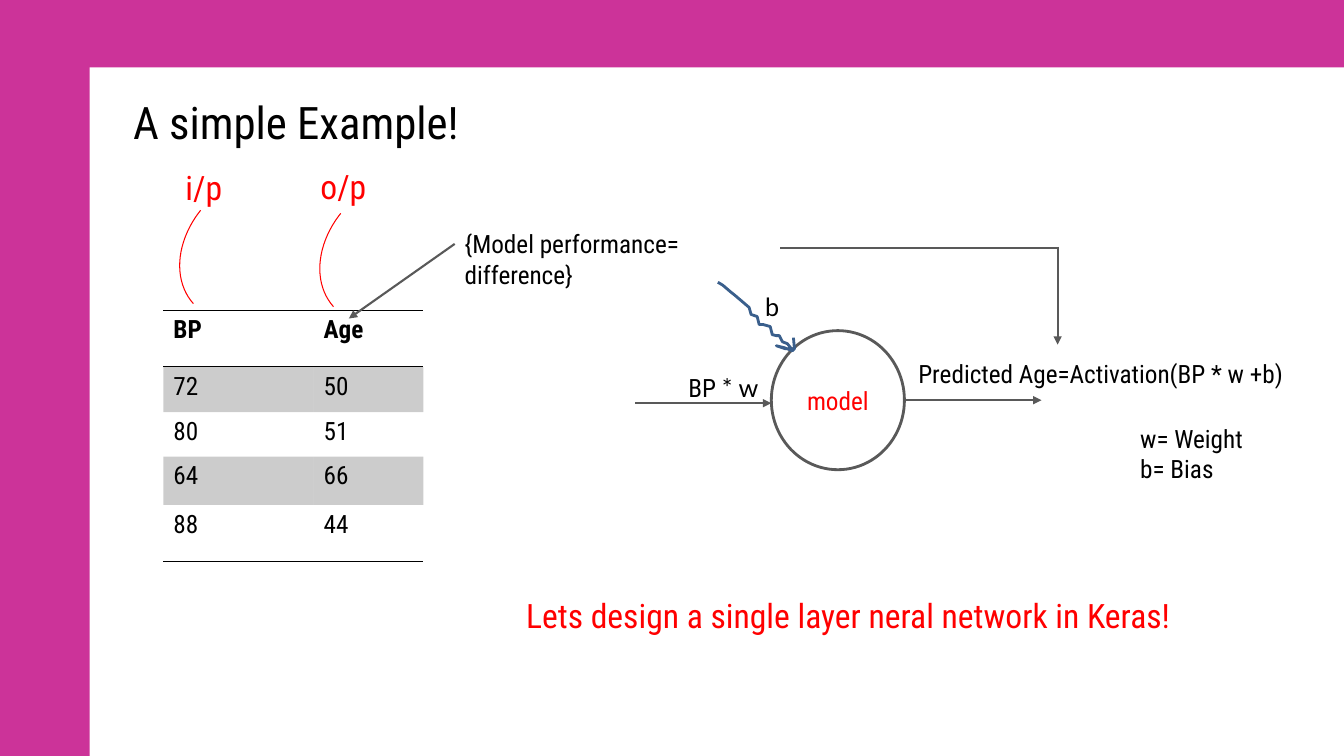
from dataclasses import dataclass
from pptx import Presentation
from pptx.dml.color import RGBColor
from pptx.enum.shapes import MSO_CONNECTOR, MSO_SHAPE
from pptx.enum.text import MSO_ANCHOR, MSO_AUTO_SIZE, PP_ALIGN
from pptx.oxml.ns import qn
from pptx.util import Inches, Pt
from lxml.etree import SubElement


@dataclass(frozen=True)
class Theme:
    font: str = "Roboto Condensed"
    alt: str = "Lato"
    pink: str = "CC3399"
    red: str = "FF0000"
    black: str = "000000"
    white: str = "FFFFFF"
    gray: str = "595959"
    blue: str = "3A5F8C"
    head: int = 32
    large: int = 24
    body: int = 18


THEME = Theme()


def rgb(code):
    return RGBColor.from_string(code)


def add_run(para, text, size=THEME.body, color=THEME.black, font=THEME.font, bold=False):
    run = para.add_run()
    run.text = text
    run.font.size = Pt(size)
    run.font.name = font
    run.font.bold = bold
    run.font.color.rgb = rgb(color)


def add_text(slide, box, lines, **style):
    """Each line is a list of (text, font) runs."""
    frame = slide.shapes.add_textbox(*map(Inches, box)).text_frame
    frame.word_wrap = True
    frame.auto_size = MSO_AUTO_SIZE.SHAPE_TO_FIT_TEXT
    for i, runs in enumerate(lines):
        para = frame.add_paragraph() if i else frame.paragraphs[0]
        for text, font in runs:
            add_run(para, text, font=font, **style)


def add_title(slide, box, text):
    title = slide.shapes.title
    title.left, title.top, title.width, title.height = map(Inches, box)
    frame = title.text_frame
    frame.vertical_anchor = MSO_ANCHOR.TOP
    frame.paragraphs[0].alignment = PP_ALIGN.LEFT
    add_run(frame.paragraphs[0], text, THEME.head)


def add_form(slide, kind, box, fill=None, line=None, width=1):
    form = slide.shapes.add_shape(kind, *map(Inches, box))
    paint(form, fill, line, width)
    return form


def paint(form, fill, line, width):
    form.shadow.inherit = False
    if fill:
        form.fill.solid()
        form.fill.fore_color.rgb = rgb(fill)
    else:
        form.fill.background()
    if line:
        form.line.color.rgb = rgb(line)
        form.line.width = Pt(width)
    else:
        form.line.fill.background()


def add_arc(slide, box):
    arc = add_form(slide, MSO_SHAPE.ARC, box, line=THEME.red, width=0.75)
    arc.adjustments[0], arc.adjustments[1] = 162, 206.11
    arc.rotation = 228.3


def add_line(slide, start, end, arrow=True):
    link = slide.shapes.add_connector(MSO_CONNECTOR.STRAIGHT, *map(Inches, start + end))
    link.line.color.rgb = rgb(THEME.gray)
    link.line.width = Pt(1.5)
    if arrow:
        SubElement(link.line._get_or_add_ln(), qn("a:tailEnd"), type="triangle")
    SubElement(link._element.spPr, qn("a:effectLst"))


def add_path(slide, points):
    start, *rest = [(Inches(x), Inches(y)) for x, y in points]
    pen = slide.shapes.build_freeform(*start)
    pen.add_line_segments(rest, close=False)
    paint(pen.convert_to_shape(), None, THEME.blue, 2)


def set_edges(cell, drawn):
    props = cell._tc.get_or_add_tcPr()
    for side in "LRTB":
        edge = SubElement(props, qn(f"a:ln{side}"), w=str(Pt(1)))
        if side in drawn:
            ink = SubElement(edge, qn("a:solidFill"))
            SubElement(ink, qn("a:srgbClr"), val=THEME.black)
        else:
            SubElement(edge, qn("a:noFill"))


def set_fill(cell, shaded):
    if not shaded:
        cell.fill.background()
        return
    cell.fill.solid()
    cell.fill.fore_color.rgb = rgb(THEME.black)
    # The fill is a direct child; edge colours lie deeper
    color = cell._tc.tcPr.find(qn("a:solidFill")).find(qn("a:srgbClr"))
    SubElement(color, qn("a:alpha"), val="20000")


def add_grid(slide, box, rows, widths, heights):
    grid = slide.shapes.add_table(len(rows), len(widths), *map(Inches, box)).table
    grid.first_row = grid.horz_banding = False
    for col, width in zip(grid.columns, widths):
        col.width = Inches(width)
    last = len(rows) - 1
    for r, (row, height) in enumerate(zip(rows, heights)):
        grid.rows[r].height = Inches(height)
        # Rules frame the header and close the table
        drawn = {0: "TB", 1: "T", last: "B"}.get(r, "")
        for c, text in enumerate(row):
            cell = grid.cell(r, c)
            add_run(cell.text_frame.paragraphs[0], text, bold=r == 0)
            set_edges(cell, drawn)
            set_fill(cell, r % 2 == 1)


def main():
    deck = Presentation()
    deck.slide_width, deck.slide_height = Inches(13.33), Inches(7.5)
    slide = deck.slides.add_slide(deck.slide_layouts[5])
    font, alt = THEME.font, THEME.alt

    # Frame and title
    for box in [(0, 0, 0.89, 7.5), (0, 0, 13.33, 0.67)]:
        add_form(slide, MSO_SHAPE.RECTANGLE, box, THEME.pink)
    add_title(slide, (1.22, 0.89, 8.21, 0.64), "A simple Example!")

    # Data table with its input and output marks
    rows = [("BP", "Age"), ("72", "50"), ("80", "51"), ("64", "66"), ("88", "44")]
    add_grid(slide, (1.62, 3.08, 2.58, 2.49), rows,
             (1.49, 1.09), (0.56, 0.45, 0.44, 0.48, 0.56))
    for text, left, top, arc in [("i/p", 1.74, 1.61, (1.9, 1.58)),
                                 ("o/p", 3.08, 1.6, (3.29, 1.61))]:
        add_text(slide, (left, top, 0.77, 0.5), [[(text, font)]],
                 size=THEME.large, color=THEME.red)
        add_arc(slide, arc + (1.32, 1.72))

    # Model node
    node = add_form(slide, MSO_SHAPE.OVAL, (7.65, 3.28, 1.32, 1.38),
                    THEME.white, THEME.gray, 2)
    node.text_frame.vertical_anchor = MSO_ANCHOR.MIDDLE
    node.text_frame.paragraphs[0].alignment = PP_ALIGN.CENTER
    add_run(node.text_frame.paragraphs[0], "model", color=THEME.red)

    # Flow lines
    add_line(slide, (6.3, 4), (7.65, 4))
    add_line(slide, (8.99, 3.97), (10.33, 3.97))
    add_line(slide, (7.74, 2.46), (10.49, 2.46), arrow=False)
    add_line(slide, (10.49, 2.45), (10.49, 3.42))
    add_line(slide, (4.51, 2.42), (3.46, 3.16))

    # Hand-drawn bias arrow: wavy shaft, then head
    add_path(slide, [
        (7.12, 2.8), (7.17, 2.83), (7.24, 2.89), (7.29, 2.93), (7.36, 2.99),
        (7.43, 3.05), (7.45, 3.12), (7.51, 3.14), (7.53, 3.22), (7.57, 3.22),
        (7.64, 3.24), (7.66, 3.32), (7.7, 3.33), (7.73, 3.33), (7.76, 3.39),
        (7.81, 3.41), (7.85, 3.46), (7.79, 3.46), (7.7, 3.43), (7.78, 3.45),
        (7.86, 3.48), (7.88, 3.46), (7.87, 3.35)])

    # Labels
    add_text(slide, (6.73, 3.64, 0.92, 0.4), [[("BP ", font), ("* w", alt)]])
    add_text(slide, (7.49, 2.84, 0.43, 0.4), [[("b", alt)]])
    add_text(slide, (9.01, 3.51, 3.94, 0.4),
             [[("Predicted Age=Activation(BP * w +b)", font)]])
    add_text(slide, (4.51, 2.22, 3.3, 0.4),
             [[("{Model performance= difference}", font)]])
    add_text(slide, (11.21, 4.15, 2.12, 0.71),
             [[("w= Weight", font)], [("b= Bias", font)]])
    add_text(slide, (5.12, 5.85, 8.21, 0.5),
             [[("Lets design a single layer neral network in Keras!", font)]],
             size=THEME.large, color=THEME.red)

    deck.save("out.pptx")


if __name__ == "__main__":
    main()
